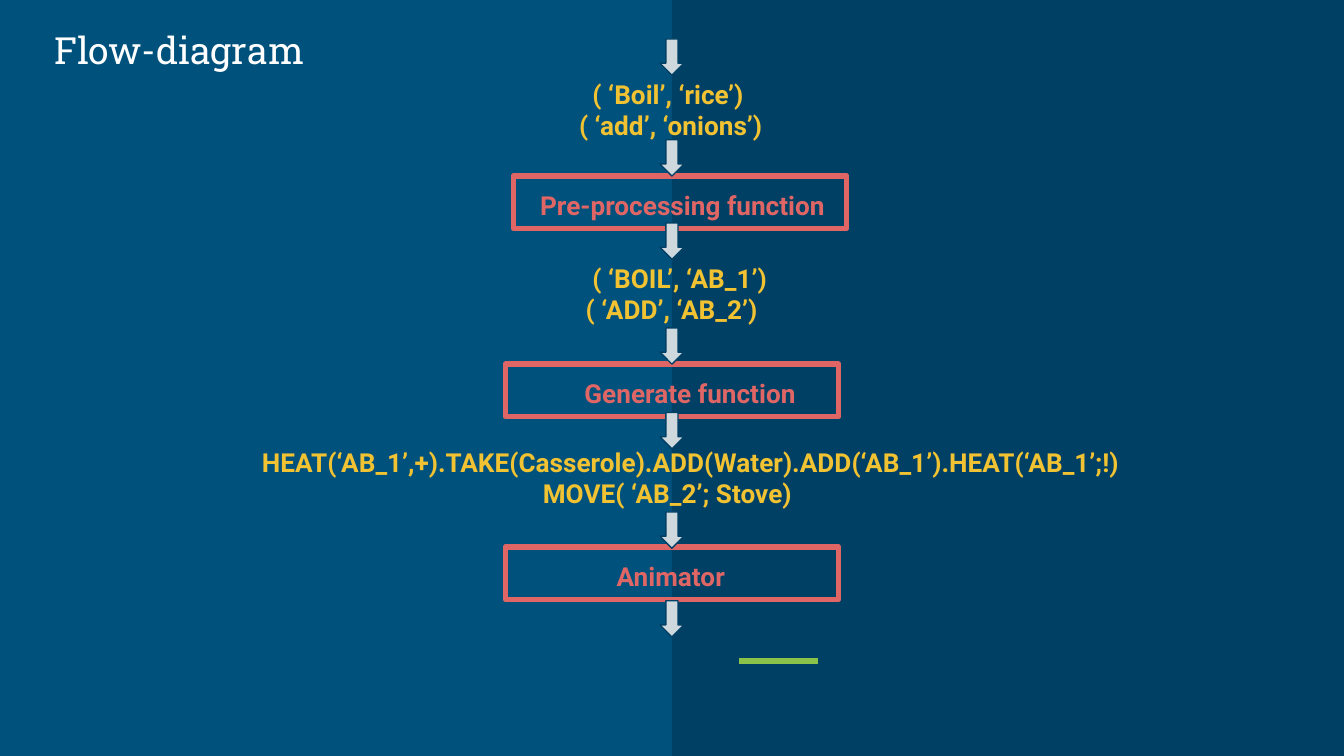
import pptx
import pptx.util
import pptx.dml.color
import pptx.enum.shapes
import pptx.enum.text
import lxml.etree

RGBColor = pptx.dml.color.RGBColor
Inches = pptx.util.Inches
Pt = pptx.util.Pt
SHAPE = pptx.enum.shapes.MSO_SHAPE
ANCHOR = pptx.enum.text.MSO_ANCHOR
ALIGN = pptx.enum.text.PP_ALIGN

BLUE = RGBColor(0x00, 0x51, 0x7C)
NAVY = RGBColor(0x00, 0x40, 0x65)
GREEN = RGBColor(0x8B, 0xC3, 0x4A)
WHITE = RGBColor(0xFF, 0xFF, 0xFF)
GREY = RGBColor(0xCF, 0xD8, 0xDC)
RED = RGBColor(0xE0, 0x66, 0x66)
YELLOW = RGBColor(0xF1, 0xC2, 0x32)

WIDTH = 10
HEIGHT = WIDTH * 9 / 16
MIDDLE = WIDTH / 2
BOX_W, BOX_H = 2.48, 0.39
ARROW_W, ARROW_H = 0.18, 0.27
ARROW_TOPS = (0.29, 1.04, 1.66, 2.44, 3.07, 3.81, 4.47)

FUNCTIONS = (
    (3.82, 1.31, "Pre-processing function", 0.1),
    (MIDDLE - BOX_W / 2, 2.71, "Generate function", 0.49),
    (MIDDLE - BOX_W / 2, 4.07, "Animator", 0.73),
)
DATA = (
    (4.16, 0.48, 1.68, 0.59,
     (("( ‘Boil’, ‘rice’)", 0.15), ("( ‘add’, ‘onions’)", 0.05))),
    (4.16, 1.85, 1.8, 0.67,
     (("( ‘BOIL’, ‘AB_1’)", 0.15), ("( ‘ADD’, ‘AB_2’)", 0.1))),
    (1.17, 3.22, 7.49, 0.67,
     (("HEAT(‘AB_1’,+).TAKE(Casserole).ADD(Water).ADD(‘AB_1’).HEAT(‘AB_1’;!)", 0.68),
      ("MOVE( ‘AB_2’; Stove)", 2.77))),
)


def set_margins(tf):
    tf.word_wrap = True
    tf.margin_left = tf.margin_right = Inches(0.1)
    tf.margin_top = tf.margin_bottom = Inches(0.1)


def style_font(p, name, size, color, bold):
    p.font.name = name
    p.font.size = Pt(size)
    p.font.color.rgb = color
    p.font.bold = bold


def write_lines(tf, lines, color):
    set_margins(tf)
    tf.vertical_anchor = ANCHOR.TOP
    for i, (text, indent) in enumerate(lines):
        p = tf.paragraphs[0] if i == 0 else tf.add_paragraph()
        p.text = text
        p.alignment = ALIGN.LEFT
        p._p.get_or_add_pPr().set("marL", str(Inches(indent)))
        style_font(p, "Roboto", 14, color, True)


def add_block(s, kind, x, y, w, h, fill=None, line=None, weight=0):
    sp = s.shapes.add_shape(kind, Inches(x), Inches(y), Inches(w), Inches(h))
    sp.shadow.inherit = False
    if fill is None:
        sp.fill.background()
    else:
        sp.fill.solid()
        sp.fill.fore_color.rgb = fill
    if line is None:
        sp.line.fill.background()
    else:
        sp.line.color.rgb = line
        sp.line.width = Pt(weight)
    return sp


def add_backdrop(s):
    s.background.fill.solid()
    s.background.fill.fore_color.rgb = BLUE
    add_block(s, SHAPE.RECTANGLE, MIDDLE, 0, MIDDLE, HEIGHT, NAVY)
    accent = s.shapes.add_connector(
        pptx.enum.shapes.MSO_CONNECTOR.STRAIGHT,
        Inches(5.5), Inches(4.92), Inches(6.09), Inches(4.92))
    accent.line.color.rgb = GREEN
    accent.line.width = Pt(3)
    lxml.etree.SubElement(accent._element.spPr, pptx.oxml.ns.qn("a:effectLst"))


def add_title(s):
    title = s.shapes.title
    title.left, title.top = Inches(0.07), Inches(0.17)
    title.width, title.height = Inches(2.53), Inches(0.39)
    tf = title.text_frame
    set_margins(tf)
    tf.vertical_anchor = ANCHOR.MIDDLE
    p = tf.paragraphs[0]
    p.text = "Flow-diagram"
    p.alignment = ALIGN.CENTER
    style_font(p, "Roboto Slab", 20, WHITE, False)


def add_function(s, x, y, text, indent):
    sp = add_block(s, SHAPE.RECTANGLE, x, y, BOX_W, BOX_H, line=RED, weight=3)
    write_lines(sp.text_frame, [(text, indent)], RED)


def add_data(s, x, y, w, h, lines):
    sp = s.shapes.add_textbox(Inches(x), Inches(y), Inches(w), Inches(h))
    write_lines(sp.text_frame, lines, YELLOW)


def add_arrow(s, y):
    add_block(s, SHAPE.DOWN_ARROW, MIDDLE - ARROW_W / 2, y, ARROW_W, ARROW_H,
              GREY, NAVY, 0.75)


def main():
    prs = pptx.Presentation()
    prs.slide_width, prs.slide_height = Inches(WIDTH), Inches(HEIGHT)
    s = prs.slides.add_slide(prs.slide_layouts[5])
    add_backdrop(s)
    add_title(s)
    for function in FUNCTIONS:
        add_function(s, *function)
    for data in DATA:
        add_data(s, *data)
    for y in ARROW_TOPS:
        add_arrow(s, y)
    prs.save("out.pptx")


if __name__ == "__main__":
    main()
